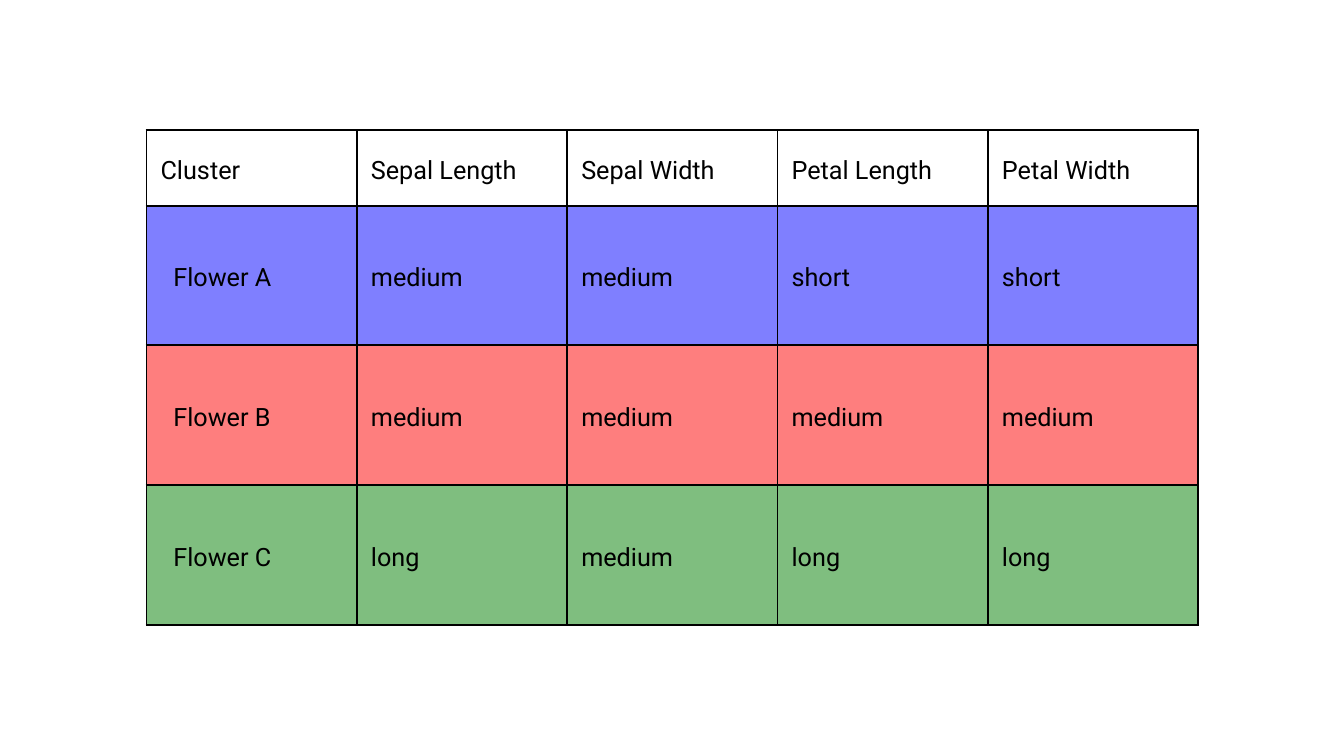
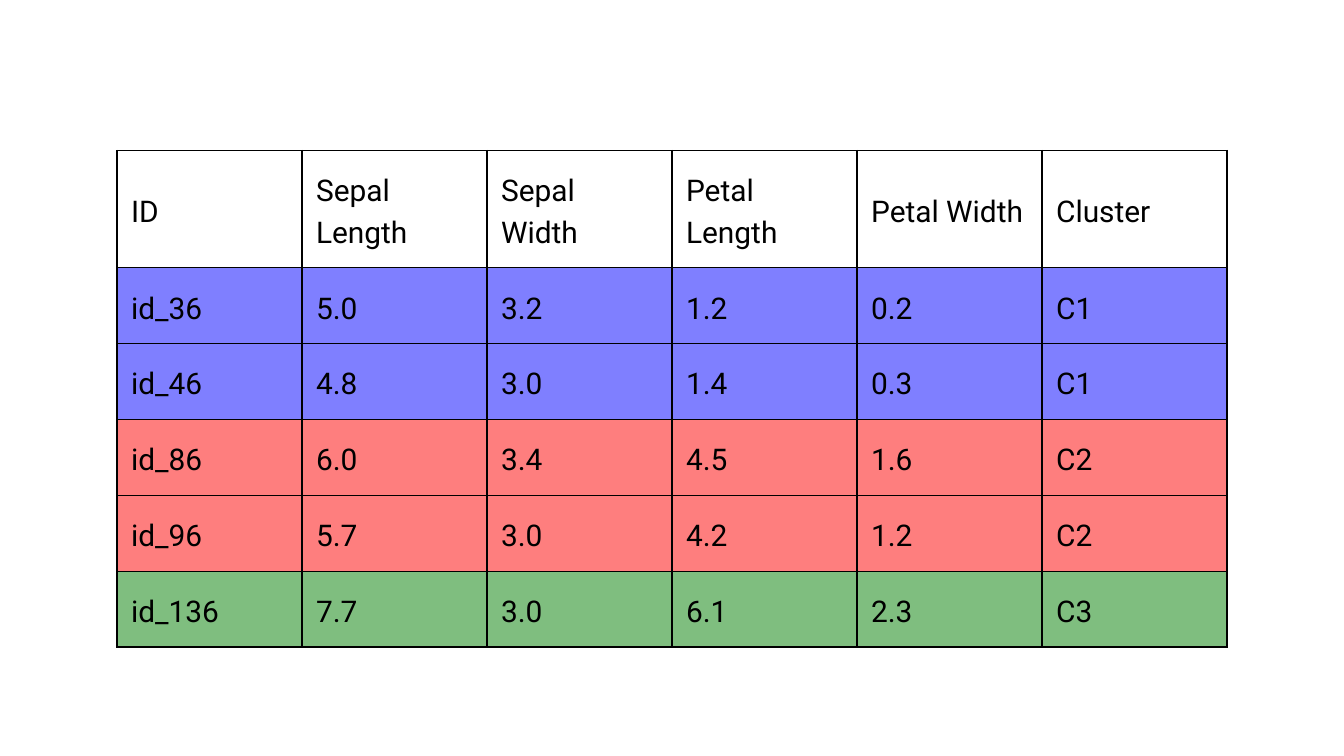
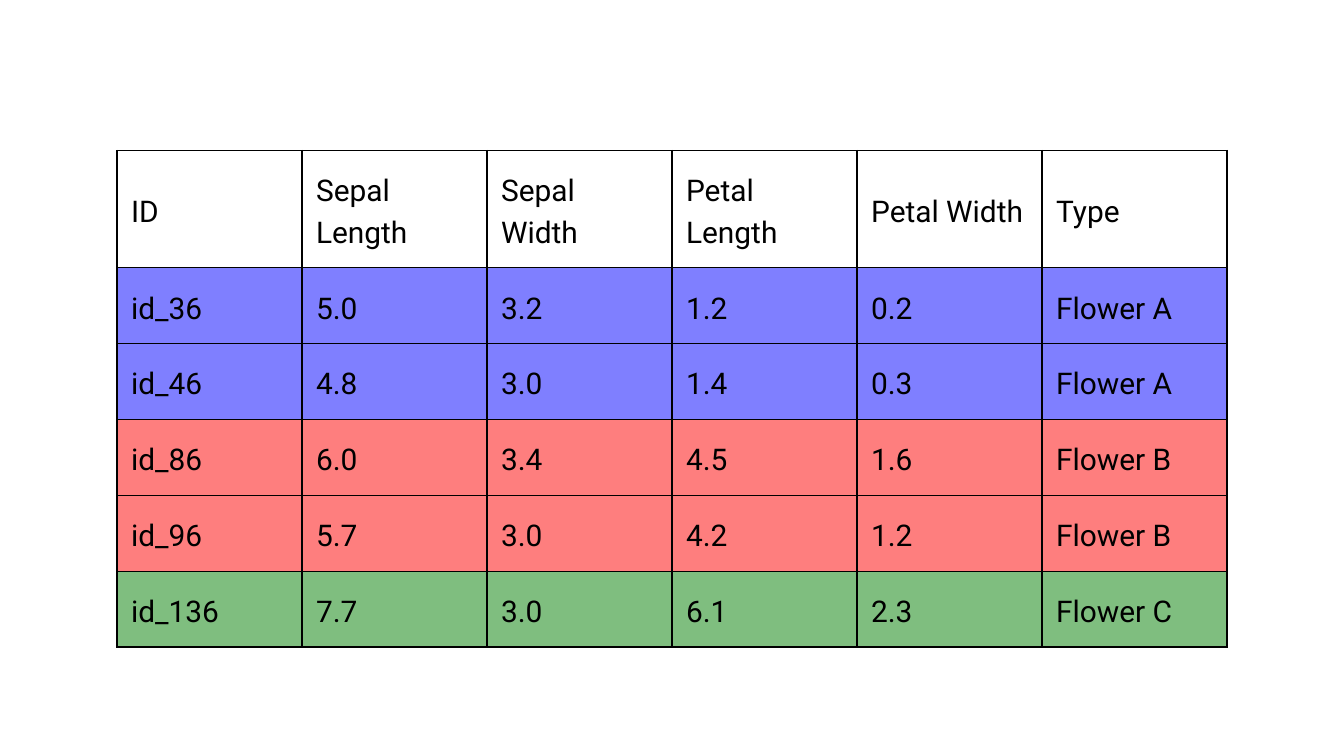
import dataclasses

import lxml.etree
import pptx
import pptx.dml.color
import pptx.enum.text
import pptx.oxml.ns
import pptx.util

Inches = pptx.util.Inches
Pt = pptx.util.Pt


@dataclasses.dataclass(frozen=True)
class Theme:
    font: str = "Roboto"
    ink: str = "000000"
    cluster_fills: tuple = ("7F7FFF", "FE7E7E", "7FBE7F")
    cell_margin: float = 0.21
    line_spacing: float = 1.4


@dataclasses.dataclass(frozen=True)
class TableStyle:
    left: float
    top: float
    width: float
    header_height: float
    row_height: float
    text_size: int
    border_width: float
    label_indent: float = 0


THEME = Theme()
SUMMARY_STYLE = TableStyle(2.18, 1.94, 15.65, 1.12, 2.08, 27, 2.25, label_indent=0.19)
SPECIMEN_STYLE = TableStyle(1.74, 2.24, 16.52, 1.74, 1.13, 32, 1.5)

MEASUREMENTS = ["Sepal Length", "Sepal Width", "Petal Length", "Petal Width"]
FLOWERS = ["Flower A", "Flower B", "Flower C"]
CLUSTERS = ["C1", "C2", "C3"]
FLOWER_TRAITS = [
    ["medium", "medium", "short", "short"],
    ["medium", "medium", "medium", "medium"],
    ["long", "medium", "long", "long"],
]
SPECIMENS = [
    (0, ["id_36", "5.0", "3.2", "1.2", "0.2"]),
    (0, ["id_46", "4.8", "3.0", "1.4", "0.3"]),
    (1, ["id_86", "6.0", "3.4", "4.5", "1.6"]),
    (1, ["id_96", "5.7", "3.0", "4.2", "1.2"]),
    (2, ["id_136", "7.7", "3.0", "6.1", "2.3"]),
]


def color(value):
    return pptx.dml.color.RGBColor.from_string(value)


def add_borders(cell, width):
    properties = cell._tc.get_or_add_tcPr()
    for side in ("a:lnL", "a:lnR", "a:lnT", "a:lnB"):
        line = lxml.etree.SubElement(properties, pptx.oxml.ns.qn(side), w=str(Pt(width)))
        fill = lxml.etree.SubElement(line, pptx.oxml.ns.qn("a:solidFill"))
        lxml.etree.SubElement(fill, pptx.oxml.ns.qn("a:srgbClr"), val=THEME.ink)


def fill_cell(cell, text, style, fill, indent):
    add_borders(cell, style.border_width)
    if fill:
        cell.fill.solid()
        cell.fill.fore_color.rgb = color(fill)
    else:
        cell.fill.background()
    cell.vertical_anchor = pptx.enum.text.MSO_ANCHOR.MIDDLE
    margin = Inches(THEME.cell_margin)
    cell.margin_right = cell.margin_top = cell.margin_bottom = margin
    cell.margin_left = margin + Inches(indent)
    paragraph = cell.text_frame.paragraphs[0]
    paragraph.line_spacing = Pt(style.text_size * THEME.line_spacing)
    run = paragraph.add_run()
    run.text = text
    run.font.name = THEME.font
    run.font.size = Pt(style.text_size)
    run.font.color.rgb = color(THEME.ink)


def add_table_slide(presentation, style, header, records):
    slide = presentation.slides.add_slide(presentation.slide_layouts[6])
    rows = [(None, header)] + records
    heights = [style.header_height] + [style.row_height] * len(records)
    table = slide.shapes.add_table(
        len(rows), len(header), Inches(style.left), Inches(style.top),
        Inches(style.width), Inches(sum(heights)),
    ).table
    table.first_row = False
    table.horz_banding = False
    for row_index, (cluster, texts) in enumerate(rows):
        table.rows[row_index].height = Inches(heights[row_index])
        is_header = cluster is None
        fill = None if is_header else THEME.cluster_fills[cluster]
        for column_index, text in enumerate(texts):
            indented = column_index == 0 and not is_header
            indent = style.label_indent if indented else 0
            fill_cell(table.cell(row_index, column_index), text, style, fill, indent)


def add_specimen_slide(presentation, group_title, group_names):
    records = [(cluster, values + [group_names[cluster]]) for cluster, values in SPECIMENS]
    header = ["ID"] + MEASUREMENTS + [group_title]
    add_table_slide(presentation, SPECIMEN_STYLE, header, records)


def main():
    presentation = pptx.Presentation()
    presentation.slide_width = Inches(20)
    presentation.slide_height = Inches(11.25)
    summary = [
        (cluster, [flower] + traits)
        for cluster, (flower, traits) in enumerate(zip(FLOWERS, FLOWER_TRAITS))
    ]
    add_table_slide(presentation, SUMMARY_STYLE, ["Cluster"] + MEASUREMENTS, summary)
    add_specimen_slide(presentation, "Cluster", CLUSTERS)
    add_specimen_slide(presentation, "Type", FLOWERS)
    presentation.save("out.pptx")


if __name__ == "__main__":
    main()
